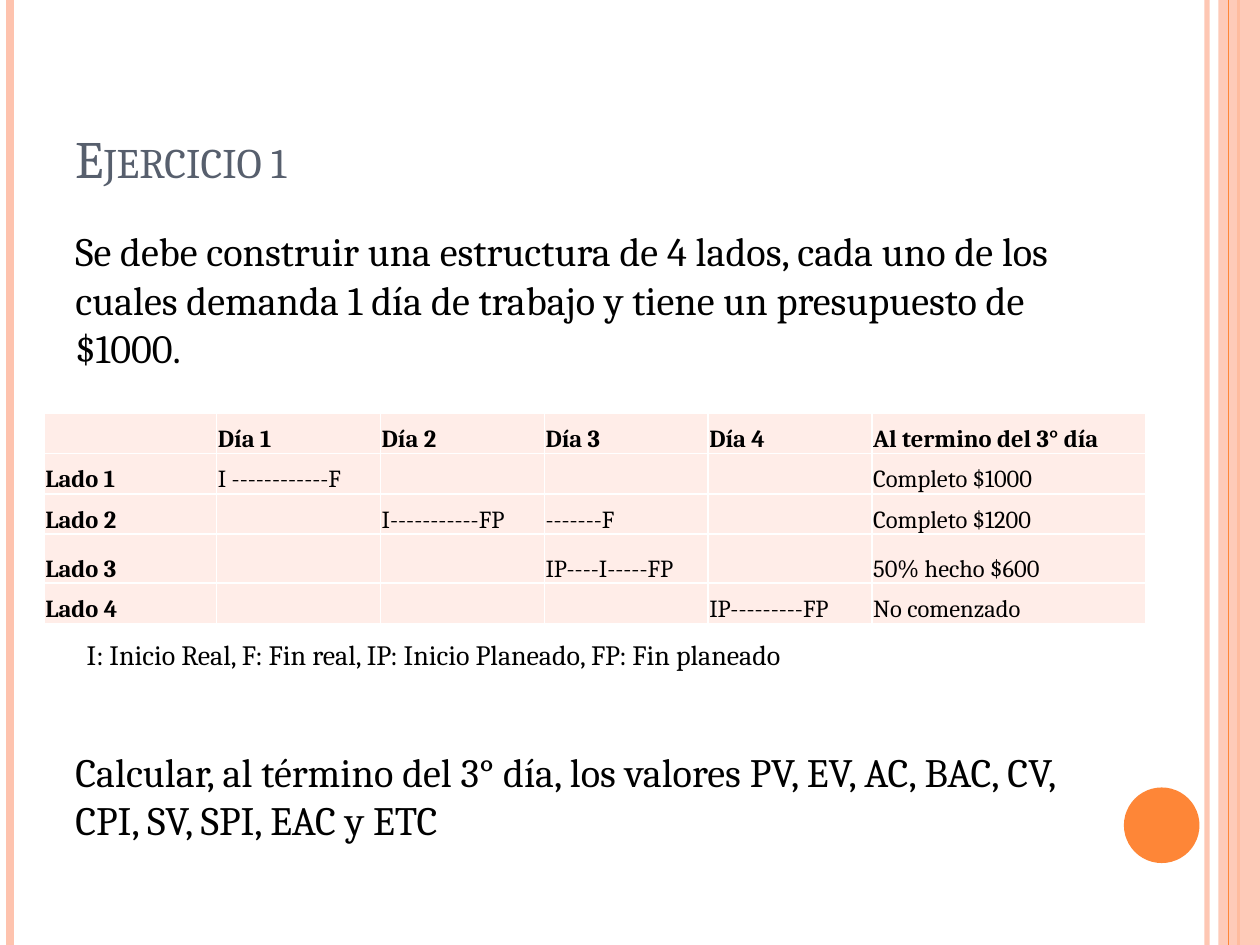
import pptx
import pptx.dml.color
import pptx.enum.shapes
import pptx.enum.text
import pptx.oxml
import pptx.oxml.ns
import pptx.util
from pptx.util import Inches

COLORS = {
    "peach": "FEC3AE",
    "orange": "FE8637",
    "title": "575F6D",
    "text": "000000",
    "cell": "FFEDE8",
    "border": "FFFFFF",
}
ANCHOR = pptx.enum.text.MSO_ANCHOR
SHAPE = pptx.enum.shapes.MSO_SHAPE


def color(name):
    return pptx.dml.color.RGBColor.from_string(COLORS[name])


def add_xml(parent, tag, **attributes):
    child = pptx.oxml.parse_xml(f"<{tag} {pptx.oxml.ns.nsdecls('a')}/>")
    for name, value in attributes.items():
        child.set(name, str(value))
    parent.append(child)
    return child


def set_opacity(shape, percent):
    for tint in shape.element.spPr.xpath(".//a:srgbClr"):
        add_xml(tint, "a:alpha", val=percent * 1000)


class SlideBuilder:
    font = "Cambria"

    def __init__(self, page):
        self.page = page

    def add_span(self, para, text, size, tint="text", bold=False):
        span = para.add_run()
        span.text = text
        span.font.name = self.font
        span.font.size = pptx.util.Pt(size)
        span.font.bold = bold
        span.font.color.rgb = color(tint)
        return span

    def title(self, text, left, top, width, height):
        box = self.page.shapes.title
        box.left, box.top = Inches(left), Inches(top)
        box.width, box.height = Inches(width), Inches(height)
        box.text_frame.vertical_anchor = ANCHOR.BOTTOM
        para = box.text_frame.paragraphs[0]
        para.alignment = pptx.enum.text.PP_ALIGN.LEFT
        span = self.add_span(para, text, 30, "title")
        span.font._element.set("cap", "small")

    def text(self, text, left, top, width, height, size):
        box = self.page.shapes.add_textbox(
            Inches(left), Inches(top), Inches(width), Inches(height))
        box.text_frame.word_wrap = True
        self.add_span(box.text_frame.paragraphs[0], text, size)

    def stripe(self, x, tint, width, opacity=100):
        line = self.page.shapes.add_connector(
            pptx.enum.shapes.MSO_CONNECTOR.STRAIGHT,
            Inches(x), Inches(0), Inches(x), Inches(7.5))
        line.line.color.rgb = color(tint)
        line.line.width = pptx.util.Pt(width)
        if opacity < 100:
            set_opacity(line, opacity)
        add_xml(line.element.spPr, "a:effectLst")

    def shape(self, kind, left, top, width, height, tint, opacity=100):
        shape = self.page.shapes.add_shape(
            kind, Inches(left), Inches(top), Inches(width), Inches(height))
        shape.shadow.inherit = False
        shape.fill.solid()
        shape.fill.fore_color.rgb = color(tint)
        shape.line.fill.background()
        if opacity < 100:
            set_opacity(shape, opacity)

    def cell(self, cell, text, bold):
        cell.margin_left = cell.margin_right = cell.margin_top = Inches(0.01)
        cell.margin_bottom = Inches(0)
        cell.vertical_anchor = ANCHOR.BOTTOM
        properties = cell._tc.get_or_add_tcPr()
        for side in ("a:lnL", "a:lnR", "a:lnT", "a:lnB"):
            edge = add_xml(properties, side, w=pptx.util.Pt(1))
            fill = add_xml(edge, "a:solidFill")
            add_xml(fill, "a:srgbClr", val=COLORS["border"])
        cell.fill.solid()
        cell.fill.fore_color.rgb = color("cell")
        if text:
            self.add_span(cell.text_frame.paragraphs[0], text, 14, bold=bold)

    def table(self, rows, left, top, widths, heights):
        frame = self.page.shapes.add_table(
            len(rows), len(widths), Inches(left), Inches(top),
            Inches(sum(widths)), Inches(sum(heights)))
        grid = frame.table
        for column, width in zip(grid.columns, widths):
            column.width = Inches(width)
        for line, height in zip(grid.rows, heights):
            line.height = Inches(height)
        for r, row in enumerate(rows):
            for c, text in enumerate(row):
                self.cell(grid.cell(r, c), text, bold=r == 0 or c == 0)


def main():
    deck = pptx.Presentation()
    deck.slide_width, deck.slide_height = Inches(10), Inches(7.5)
    builder = SlideBuilder(deck.slides.add_slide(deck.slide_layouts[5]))

    # Side stripes and circle
    builder.stripe(9.58, "peach", 3, opacity=93)
    builder.stripe(0.08, "peach", 4.5)
    builder.stripe(9.83, "orange", 1.5)
    builder.shape(SHAPE.RECTANGLE, 9.67, 0, 0.33, 7.5, "peach", opacity=87)
    builder.stripe(9.75, "orange", 0.75)
    builder.shape(SHAPE.OVAL, 8.92, 6.25, 0.6, 0.6, "orange")

    # Title and problem statement
    builder.title("Ejercicio 1", 0.5, 0.3, 8.17, 1.25)
    builder.text(
        "Se debe construir una estructura de 4 lados, cada uno de los cuales "
        "demanda 1 día de trabajo y tiene un presupuesto de $1000.",
        0.5, 1.75, 8.17, 1.3, 23)

    # Schedule with its key
    schedule = [
        ["", "Día 1", "Día 2", "Día 3", "Día 4", "Al termino del 3° día"],
        ["Lado 1", "I ------------F", "", "", "", "Completo $1000"],
        ["Lado 2", "", "I-----------FP", "-------F", "", "Completo $1200"],
        ["Lado 3", "", "", "IP----I-----FP", "", "50% hecho $600"],
        ["Lado 4", "", "", "", "IP---------FP", "No comenzado"],
    ]
    builder.table(schedule, 0.35, 3.28, [1.37] + [1.3] * 4 + [2.17],
                  [0.32, 0.32, 0.32, 0.39, 0.32])
    builder.text(
        "I: Inicio Real, F: Fin real, IP: Inicio Planeado, FP: Fin planeado",
        0.59, 5.01, 8.74, 0.37, 16)

    # Task
    builder.text(
        "Calcular, al término del 3° día, los valores PV, EV, AC, BAC, CV, "
        "CPI, SV, SPI, EAC y ETC",
        0.5, 5.88, 8.17, 0.9, 23)

    deck.save("out.pptx")


if __name__ == "__main__":
    main()
